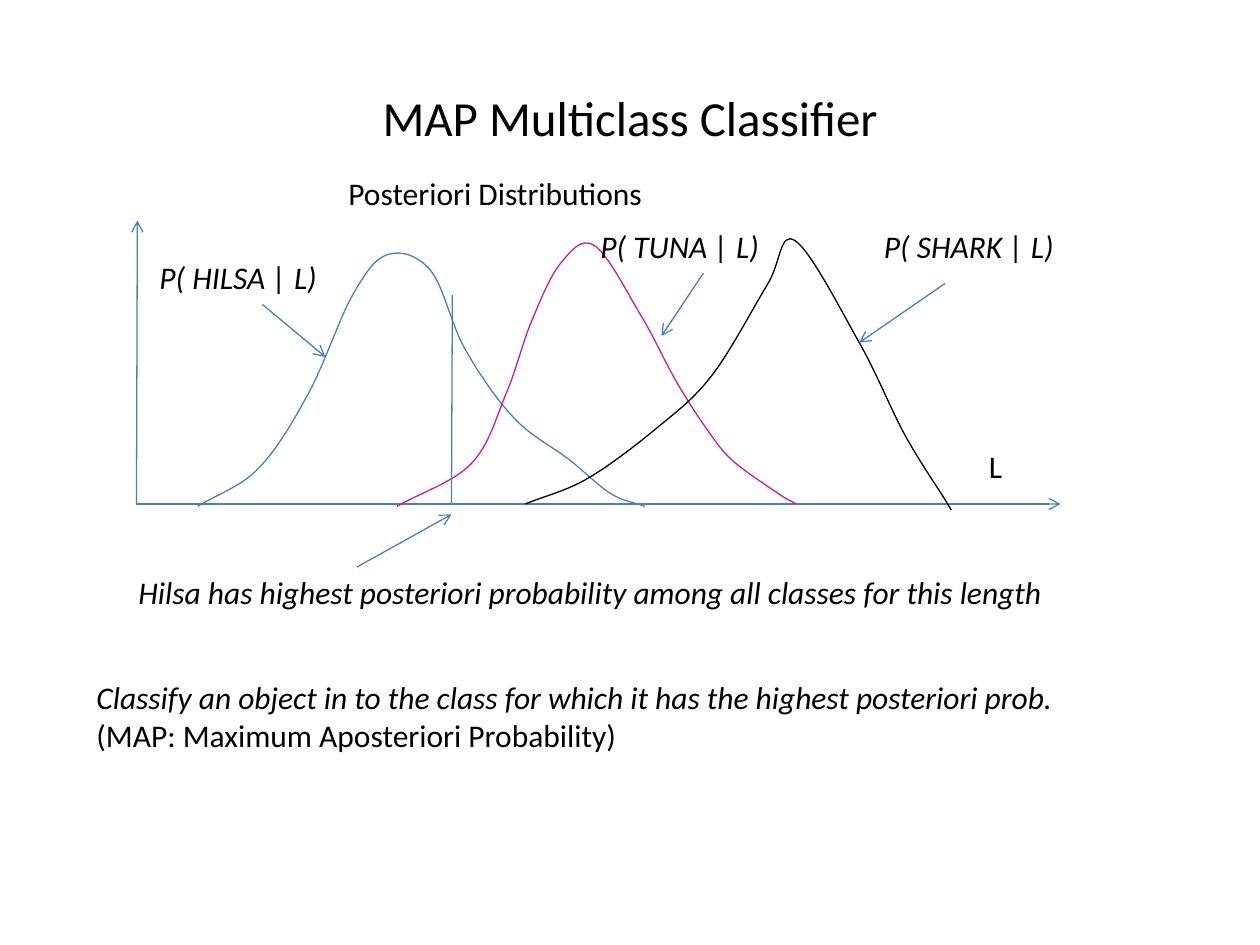
from lxml import etree
from pptx import Presentation
from pptx.dml.color import RGBColor as RGB
from pptx.enum.shapes import MSO_CONNECTOR as CONN
from pptx.enum.text import MSO_ANCHOR as ANCHOR, MSO_AUTO_SIZE as AUTO, PP_ALIGN as ALIGN
from pptx.oxml.ns import qn
from pptx.util import Pt

COLORS = {"axis": "4B7EBC", "tuna": "C31DA3", "ink": "000000"}

# Points that each smooth density curve passes through
HILSA = [(113, 289.4), (147.6, 267.8), (176.4, 224.6), (201.6, 168.5),
         (221.8, 145.4), (246.2, 154.8), (265.7, 199.4), (293.8, 239),
         (325.4, 262.8), (349.2, 282.2), (368.6, 289.4)]
TUNA = [(226.8, 289.4), (269.3, 265), (289.4, 224.6), (303.8, 183.6),
        (320.4, 150.5), (339.8, 140.4), (366.5, 180.7), (386.6, 218.2),
        (404.6, 246.2), (419, 263.5), (445, 282.2), (455, 288)]
SHARK = [(300.2, 288), (335.5, 273.6), (375.1, 244.8), (406.8, 214.6),
         (438.5, 162.7), (454.3, 137.5), (491, 195.8), (517, 248.4),
         (539.3, 284.4), (543.6, 291.6)]


def put_text(p, text, size=18, italic=False, align=ALIGN.LEFT, color="ink"):
    """Write one formatted run into a paragraph."""
    p.alignment = align
    r = p.add_run()
    r.text = text
    r.font.name = "Calibri"
    r.font.size = Pt(size)
    r.font.italic = italic
    r.font.color.rgb = RGB.from_string(COLORS[color])


def add_title(s, text):
    """Place and fill the title placeholder."""
    sp = s.shapes.title
    sp.left, sp.top, sp.width, sp.height = Pt(36), Pt(21.6), Pt(648), Pt(90)
    sp.text_frame.vertical_anchor = ANCHOR.MIDDLE
    put_text(sp.text_frame.paragraphs[0], text, size=28, align=ALIGN.CENTER)


def add_label(s, x, y, w, h, *lines):
    """Add an unwrapped text box; each line is a (text, italic) pair."""
    tf = s.shapes.add_textbox(Pt(x), Pt(y), Pt(w), Pt(h)).text_frame
    tf.word_wrap = False
    tf.auto_size = AUTO.SHAPE_TO_FIT_TEXT
    for i, (text, italic) in enumerate(lines):
        p = tf.add_paragraph() if i else tf.paragraphs[0]
        put_text(p, text, italic=italic)


def style_line(sp, color):
    """Give a shape or connector a thin solid line."""
    sp.line.color.rgb = RGB.from_string(COLORS[color])
    sp.line.width = Pt(0.75)


def add_line(s, x1, y1, x2, y2, arrow=True):
    """Add a straight line, with an open arrowhead at its end if asked."""
    c = s.shapes.add_connector(CONN.STRAIGHT, Pt(x1), Pt(y1), Pt(x2), Pt(y2))
    style_line(c, "axis")
    sp_pr = c._element.spPr
    if arrow:
        etree.SubElement(sp_pr.find(qn("a:ln")), qn("a:tailEnd"), type="arrow")
    etree.SubElement(sp_pr, qn("a:effectLst"))


def add_curve(s, points, color):
    """Add an open freeform and smooth it into cubic segments."""
    knots = [(Pt(x), Pt(y)) for x, y in points]
    fb = s.shapes.build_freeform(*knots[0])
    fb.add_line_segments(knots[1:], close=False)
    sp = fb.convert_to_shape()
    sp.fill.background()
    sp.shadow.inherit = False
    style_line(sp, color)

    pts = [(int(pt.get("x")), int(pt.get("y"))) for pt in sp._element.iter(qn("a:pt"))]
    last = len(pts) - 1

    def tangent(i):
        """Return a third of the slope at knot i."""
        a, b = max(i - 1, 0), min(i + 1, last)
        return [(pts[b][k] - pts[a][k]) / (3 * (b - a)) for k in (0, 1)]

    for i, seg in enumerate(list(sp._element.iter(qn("a:lnTo")))):
        (x0, y0), (x1, y1) = pts[i], pts[i + 1]
        (u0, v0), (u1, v1) = tangent(i), tangent(i + 1)
        cubic = etree.Element(qn("a:cubicBezTo"))
        for x, y in ((x0 + u0, y0 + v0), (x1 - u1, y1 - v1), (x1, y1)):
            etree.SubElement(cubic, qn("a:pt"), x=str(round(x)), y=str(round(y)))
        seg.getparent().replace(seg, cubic)


def main():
    """Build the slide and save it."""
    prs = Presentation()
    prs.slide_width, prs.slide_height = Pt(720), Pt(540)
    s = prs.slides.add_slide(prs.slide_layouts[5])
    add_title(s, "MAP Multiclass Classifier")

    add_line(s, 78, 288, 606, 288)
    add_line(s, 78, 288, 78.5, 126)
    add_curve(s, HILSA, "axis")
    add_curve(s, TUNA, "tuna")
    add_label(s, 558, 252, 24.5, 29, ("L", False))
    add_line(s, 150, 174, 186, 204)
    add_line(s, 402, 156, 378, 192)
    add_label(s, 84, 144, 120, 29, ("P( HILSA | L)", True))
    add_label(s, 336, 126, 117.5, 29, ("P( TUNA | L)", True))
    add_label(s, 192, 96, 196.5, 29, ("Posteriori Distributions", False))
    add_label(s, 48, 384, 619, 73,
              ("Classify an object in to the class for which it has the highest posteriori prob.", True),
              ("(MAP: Maximum Aposteriori Probability)", False))
    add_line(s, 258, 288, 258.5, 168.5, arrow=False)
    add_line(s, 204, 324, 258, 294)
    add_label(s, 72, 324, 584, 29,
              ("Hilsa has highest posteriori probability among all classes for this length", True))
    add_curve(s, SHARK, "ink")
    add_label(s, 498, 126, 131, 29, ("P( SHARK | L)", True))
    add_line(s, 540, 162, 491, 195.8)

    prs.save("out.pptx")


main()
